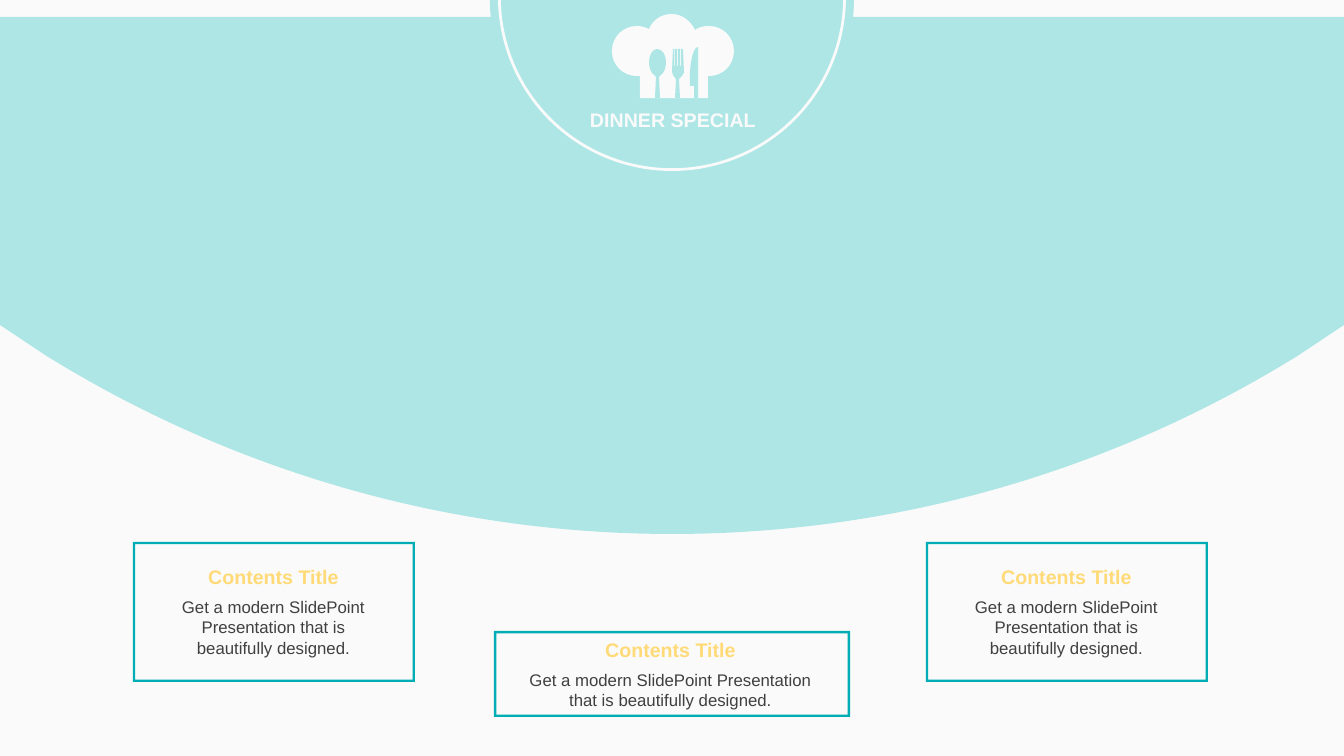
import dataclasses
import typing

import lxml.etree
import pptx
import pptx.dml.color
import pptx.enum.shapes
import pptx.enum.text
import pptx.oxml.ns
import pptx.util

PX = 914400 / 100.8  # EMU per px
SHAPE = pptx.enum.shapes.MSO_SHAPE

PAPER, MINT, TEAL, YELLOW, GREY = "FAFAFA", "AEE6E6", "00ADB5", "FFDA77", "404040"

Contour = list[tuple[int, ...]]  # pairs are corners, sextuples are Bezier curves


@dataclasses.dataclass
class Card:
    x: int
    y: int
    w: int
    h: int
    rim: float
    text_dx: int
    text_w: int
    title_dy: int
    body_h: int


@dataclasses.dataclass
class Style:
    size: int
    color: str
    bold: bool = False
    side_inset: int = 10


HEADING = Style(14, PAPER, True)
CARD_TITLE = Style(14, YELLOW, True, 12)
CARD_BODY = Style(12, GREY)

CARDS = [
    Card(133, 542, 282, 140, 0.016, 26, 229, 18, 72),
    Card(494, 631, 356, 86, 0.028, 13, 327, 2, 50),
    Card(926, 542, 282, 140, 0.016, 26, 229, 18, 72),
]

BACKDROP: Contour = [
    (0, 17), (1344, 17), (1344, 325), (1299, 355),
    (1117, 468, 902, 534, 672, 534), (442, 534, 227, 468, 45, 355), (0, 325),
]
HAT: Contour = [
    (672, 14), (682, 14, 691, 21, 695, 30), (699, 27, 704, 26, 709, 26),
    (723, 26, 734, 37, 734, 51), (734, 65, 723, 76, 709, 76),
    (708, 76), (708, 98), (640, 98), (640, 76), (637, 76),
    (623, 76, 612, 65, 612, 51), (612, 37, 623, 26, 637, 26),
    (641, 26, 645, 27, 649, 29), (653, 20, 661, 14, 672, 14),
]
SPOON: Contour = [
    (657, 49), (663, 49, 666, 56, 666, 62), (666, 68, 664, 73, 661, 75),
    (659, 77), (660, 98), (655, 98), (656, 77), (654, 75),
    (651, 73, 649, 68, 649, 62), (649, 56, 652, 49, 657, 49),
]
FORK_SLOTS = [(x + dx, y) for x in (674, 677, 680) for dx, y in ((0, 49), (0, 66), (1, 66), (1, 49))]
FORK: Contour = [
    (673, 49), *FORK_SLOTS, (683, 49), (684, 72), (684, 74, 681, 77, 679, 79),
    (680, 98), (675, 98), (676, 79), (674, 77, 672, 74, 672, 72),
]
KNIFE: Contour = [(698, 47), (698, 98), (694, 98), (694, 86), (690, 86), (689, 69, 692, 47, 698, 47)]


def px(n: float) -> pptx.util.Emu:
    return pptx.util.Emu(round(n * PX))


def rgb(color: str) -> pptx.dml.color.RGBColor:
    return pptx.dml.color.RGBColor.from_string(color)


def paint(sp: typing.Any, color: str) -> None:
    sp.shadow.inherit = False
    sp.fill.solid()
    sp.fill.fore_color.rgb = rgb(color)
    sp.line.fill.background()


def add_outline(shapes: typing.Any, contours: list[Contour], color: str) -> None:
    builder = shapes.build_freeform(*contours[0][0], scale=PX)
    for i, (start, *segs) in enumerate(contours):
        if i:
            builder.move_to(*start)
        pts = [seg[k:k + 2] for seg in segs for k in range(0, len(seg), 2)]
        builder.add_line_segments(pts, close=True)
    sp = builder.convert_to_shape()
    paint(sp, color)

    # Turn the three lines through each curve's control points into one curve
    lines = iter(list(sp.element.iter(pptx.oxml.ns.qn("a:lnTo"))))
    for seg in (seg for contour in contours for seg in contour[1:]):
        parts = [next(lines) for _ in range(len(seg) // 2)]
        if len(parts) == 3:
            curve = lxml.etree.Element(pptx.oxml.ns.qn("a:cubicBezTo"))
            parts[0].addprevious(curve)
            for line in parts:
                curve.append(line[0])
                line.getparent().remove(line)


def add_preset(shapes: typing.Any, kind: typing.Any, box: tuple[int, ...],
               adjustments: list[float], color: str) -> None:
    sp = shapes.add_shape(kind, *map(px, box))
    for i, value in enumerate(adjustments):
        sp.adjustments[i] = value
    paint(sp, color)


def write(sp: typing.Any, text: str, style: Style, anchor: typing.Any) -> None:
    tf = sp.text_frame
    frame_format = {
        "word_wrap": True,
        "auto_size": pptx.enum.text.MSO_AUTO_SIZE.SHAPE_TO_FIT_TEXT,
        "vertical_anchor": anchor,
        "margin_left": px(style.side_inset), "margin_right": px(style.side_inset),
        "margin_top": px(5), "margin_bottom": px(5),
    }
    for name, value in frame_format.items():
        setattr(tf, name, value)
    p = tf.paragraphs[0]
    for name, value in {"alignment": pptx.enum.text.PP_ALIGN.CENTER, "line_spacing": 1.0}.items():
        setattr(p, name, value)
    r = p.add_run()
    r.text = text
    for name, value in {"name": "Arial", "size": pptx.util.Pt(style.size), "bold": style.bold}.items():
        setattr(r.font, name, value)
    r.font.color.rgb = rgb(style.color)


def add_card_text(shapes: typing.Any, card: Card) -> None:
    group = shapes.add_group_shape()
    x, y = card.x + card.text_dx, card.y + card.title_dy
    for text, style, top, height in (
        ("Get a modern SlidePoint Presentation that is beautifully designed.", CARD_BODY, y + 32, card.body_h),
        ("Contents Title", CARD_TITLE, y, 34),
    ):
        sp = group.shapes.add_textbox(px(x), px(top), px(card.text_w), px(height))
        write(sp, text, style, pptx.enum.text.MSO_ANCHOR.TOP)


def main() -> None:
    prs = pptx.Presentation()
    prs.slide_width, prs.slide_height = px(1344), px(756)
    s = prs.slides.add_slide(prs.slide_layouts[5])
    s.background.fill.solid()
    s.background.fill.fore_color.rgb = rgb(PAPER)

    # Backdrop and badge
    add_outline(s.shapes, [BACKDROP], MINT)
    add_preset(s.shapes, SHAPE.CHORD, (490, -182, 364, 364), [215.79, 107.97], MINT)

    # Chef's hat with cutlery
    icon = s.shapes.add_group_shape()
    add_outline(icon.shapes, [HAT], PAPER)
    add_outline(icon.shapes, [KNIFE, FORK, SPOON], MINT)

    # Title, raised above the badge
    title = s.shapes.title
    for name, value in {"left": 568, "top": 103, "width": 210, "height": 34}.items():
        setattr(title, name, px(value))
    write(title, "DINNER SPECIAL", HEADING, pptx.enum.text.MSO_ANCHOR.MIDDLE)
    s.shapes.element.append(title.element)

    # Card texts, badge ring and card frames
    for card in CARDS:
        add_card_text(s.shapes, card)
    add_preset(s.shapes, SHAPE.BLOCK_ARC, (498, -177, 348, 348), [0.38, 107.7, 0.008], PAPER)
    for card in CARDS:
        add_preset(s.shapes, SHAPE.FRAME, (card.x, card.y, card.w, card.h), [card.rim], TEAL)

    prs.save("out.pptx")


if __name__ == "__main__":
    main()
